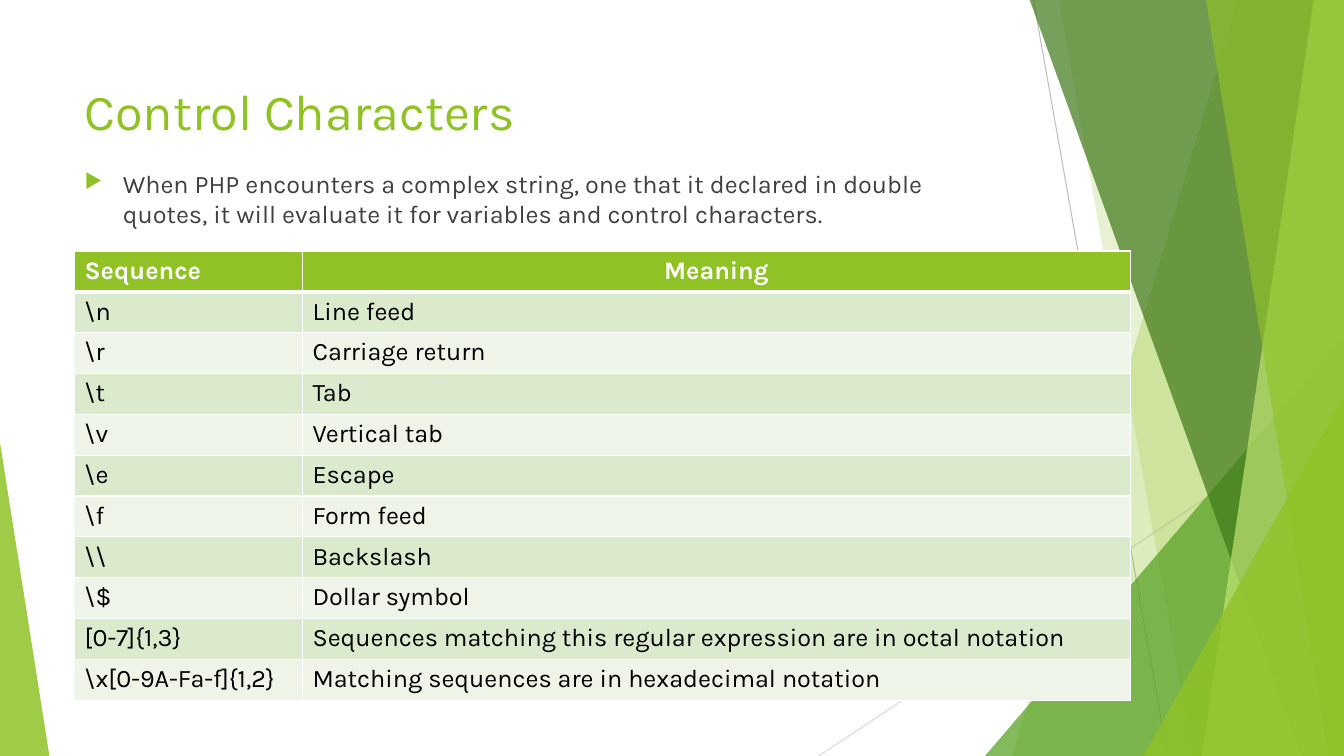
from dataclasses import dataclass
from typing import Any

from lxml.etree import SubElement
from pptx import Presentation
from pptx.dml.color import RGBColor
from pptx.enum.shapes import MSO_CONNECTOR, MSO_SHAPE
from pptx.enum.text import MSO_ANCHOR, PP_ALIGN
from pptx.oxml import parse_xml
from pptx.oxml.ns import nsdecls, qn
from pptx.util import Inches, Pt


@dataclass(frozen=True)
class Theme:
    font: str = "Karla"
    green: str = "90C226"
    leaf: str = "54A021"
    dark: str = "3F7819"
    lime: str = "C0E474"
    white: str = "FFFFFF"
    black: str = "000000"
    text: str = "404040"
    bands: tuple[str, str] = ("DBE9CD", "EEF4E8")
    title: int = 36
    body: int = 18


@dataclass(frozen=True)
class Ray:
    start: tuple[float, float]
    end: tuple[float, float]
    color: str


@dataclass(frozen=True)
class Blade:
    """Band reaching the right edge, slanting from its top x to its foot x."""
    top: float
    foot: float
    color: str
    alpha: int


@dataclass(frozen=True)
class Wedge:
    """Right triangle standing on the slide's bottom edge."""
    left: float
    top: float
    width: float
    peak: float
    color: str
    alpha: int


THEME = Theme()
WIDE, HIGH = 13.33, 7.5

RAYS = [
    Ray((10.25, 0), (11.58, HIGH), "BFBFBF"),
    Ray((WIDE, 4.03), (8.12, HIGH), "D9D9D9"),
]
# Back to front
FACETS: list[Blade | Wedge] = [
    Blade(12.28, 10.04, THEME.green, 30),
    Blade(10.5, 11.83, THEME.green, 20),
    Wedge(9.77, 3.33, 3.56, 1, THEME.leaf, 72),
    Blade(10.21, 12.91, THEME.dark, 70),
    Blade(13.03, 11.92, THEME.lime, 70),
    Blade(11.96, 13.18, THEME.green, 65),
    Wedge(11.34, 3.93, 1.99, 1, THEME.green, 80),
    Wedge(0, 4.39, 0.49, 0, THEME.green, 85),
]
ROWS = [
    ("Sequence", "Meaning"),
    (r"\n", "Line feed"),
    (r"\r", "Carriage return"),
    (r"\t", "Tab"),
    (r"\v", "Vertical tab"),
    (r"\e", "Escape"),
    (r"\f", "Form feed"),
    (r"\\", "Backslash"),
    (r"\$", "Dollar symbol"),
    ("[0-7]{1,3}", "Sequences matching this regular expression are in octal notation"),
    (r"\x[0-9A-Fa-f]{1,2}", "Matching sequences are in hexadecimal notation"),
]


def write(frame: Any, text: str, *, size: int = THEME.body, color: str = THEME.black,
          bold: bool = False, align: PP_ALIGN = PP_ALIGN.LEFT,
          anchor: MSO_ANCHOR = MSO_ANCHOR.TOP) -> Any:
    frame.word_wrap = True
    frame.vertical_anchor = anchor
    para = frame.paragraphs[0]
    para.alignment = align
    run = para.add_run()
    run.text = text
    run.font.name = THEME.font
    run.font.size = Pt(size)
    run.font.bold = bold
    run.font.color.rgb = RGBColor.from_string(color)
    return para


def mark(para: Any) -> None:
    """Give a paragraph the green arrow bullet and a hanging indent."""
    props = para._p.get_or_add_pPr()
    props.set("marL", str(Inches(0.38)))
    props.set("indent", str(Inches(-0.38)))
    tint = SubElement(props, qn("a:buClr"))
    SubElement(tint, qn("a:srgbClr")).set("val", THEME.green)
    SubElement(props, qn("a:buSzPct")).set("val", "80000")
    SubElement(props, qn("a:buChar")).set("char", "▶")


def paint(shape: Any, color: str, alpha: int) -> None:
    shape.shadow.inherit = False
    shape.line.fill.background()
    shape.fill.solid()
    shape.fill.fore_color.rgb = RGBColor.from_string(color)
    tint = shape._element.spPr.find(qn("a:solidFill"))[0]
    SubElement(tint, qn("a:alpha")).set("val", str(alpha * 1000))


def draw_ray(shapes: Any, ray: Ray) -> None:
    ends = [Inches(v) for v in ray.start + ray.end]
    line = shapes.add_connector(MSO_CONNECTOR.STRAIGHT, *ends)
    line.line.width = Pt(0.75)
    line.line.color.rgb = RGBColor.from_string(ray.color)
    SubElement(line._element.spPr, qn("a:effectLst"))


def draw_facet(shapes: Any, facet: Blade | Wedge) -> None:
    if isinstance(facet, Blade):
        spots = [(facet.top, -0.01), (WIDE, -0.01), (WIDE, HIGH), (facet.foot, HIGH)]
        first, *rest = [(Inches(x), Inches(y)) for x, y in spots]
        pen = shapes.build_freeform(*first)
        pen.add_line_segments(rest, close=True)
        shape = pen.convert_to_shape()
    else:
        box = (facet.left, facet.top, facet.width, HIGH - facet.top)
        shape = shapes.add_shape(MSO_SHAPE.ISOSCELES_TRIANGLE, *map(Inches, box))
        shape.adjustments[0] = facet.peak
    paint(shape, facet.color, facet.alpha)


def edge(cell: Any, base: int) -> None:
    """Draw white cell borders; base is the bottom width in points."""
    props = cell._tc.get_or_add_tcPr()
    widths = {"lnL": 1, "lnR": 1, "lnT": 1, "lnB": base}
    for spot, (side, width) in enumerate(widths.items()):
        props.insert(spot, parse_xml(
            f'<a:{side} {nsdecls("a")} w="{Pt(width)}"><a:solidFill>'
            f'<a:srgbClr val="{THEME.white}"/></a:solidFill></a:{side}>'))


def draw_table(shapes: Any) -> None:
    box = (0.74, 2.49, 10.47, 4.46)
    table = shapes.add_table(len(ROWS), 2, *map(Inches, box)).table
    for col, width in zip(table.columns, (2.26, 8.21)):
        col.width = Inches(width)
    for r, texts in enumerate(ROWS):
        head = r == 0
        for c, text in enumerate(texts):
            cell = table.cell(r, c)
            cell.fill.solid()
            shade = THEME.green if head else THEME.bands[(r - 1) % 2]
            cell.fill.fore_color.rgb = RGBColor.from_string(shade)
            edge(cell, 3 if head else 1)
            write(cell.text_frame, text, bold=head,
                  color=THEME.white if head else THEME.black,
                  align=PP_ALIGN.CENTER if head and c == 1 else PP_ALIGN.LEFT)


def main() -> None:
    deck = Presentation()
    deck.slide_width, deck.slide_height = Inches(WIDE), Inches(HIGH)
    shapes = deck.slides.add_slide(deck.slide_layouts[6]).shapes

    # Backdrop
    for ray in RAYS:
        draw_ray(shapes, ray)
    for facet in FACETS:
        draw_facet(shapes, facet)

    # Title and lead
    title = shapes.add_textbox(*map(Inches, (0.74, 0.67, 9.4, 0.84)))
    write(title.text_frame, "Control Characters", size=THEME.title,
          color=THEME.green, anchor=MSO_ANCHOR.MIDDLE)
    lead = shapes.add_textbox(*map(Inches, (0.74, 1.62, 9.4, 4.99)))
    para = write(lead.text_frame, "When PHP encounters a complex string, one that it "
                 "declared in double quotes, it will evaluate it for variables and "
                 "control characters.", color=THEME.text)
    para.space_before = Pt(10)
    mark(para)

    # Table of sequences
    draw_table(shapes)
    deck.save("out.pptx")


if __name__ == "__main__":
    main()
